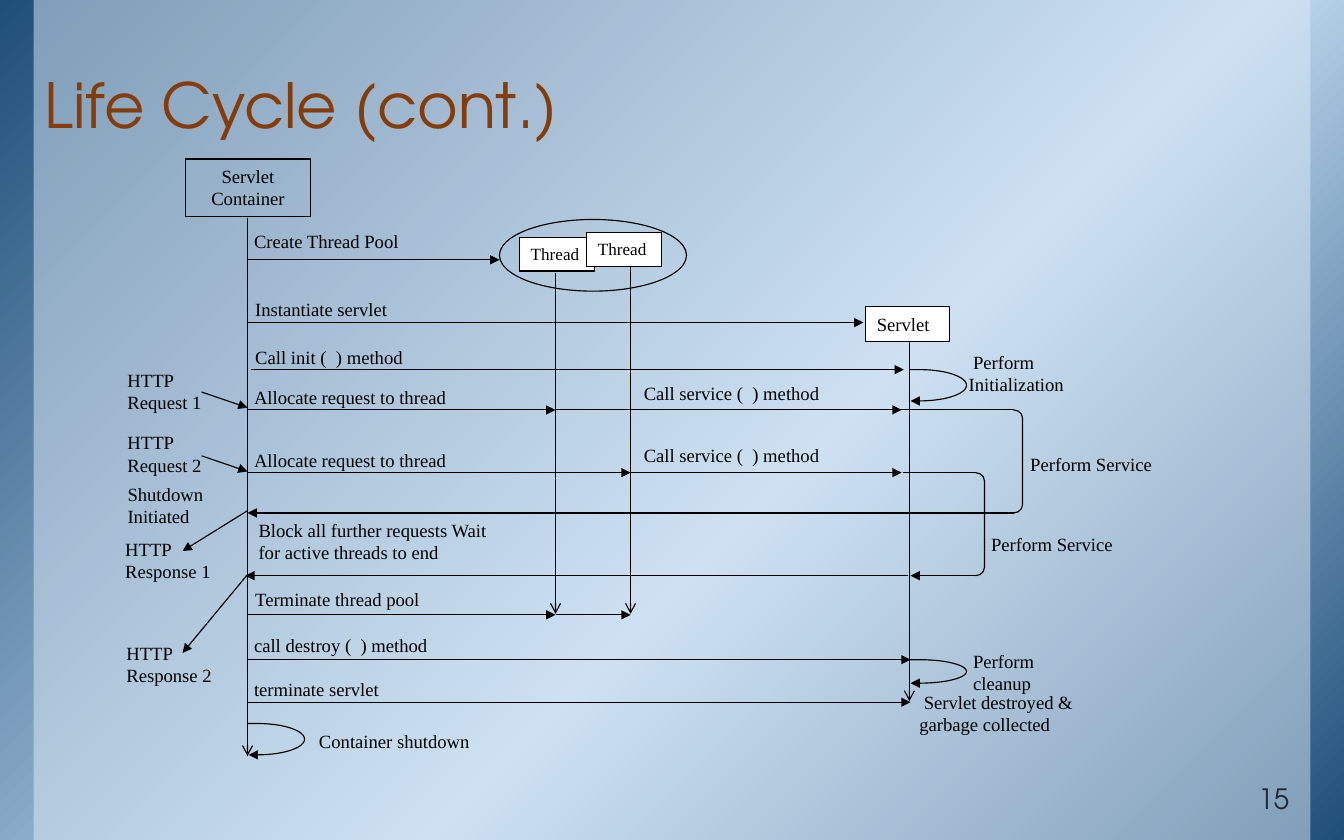
import copy
import math
import pptx
import pptx.util
import pptx.dml.color
import pptx.enum.shapes
import pptx.enum.text
import pptx.oxml
import pptx.oxml.ns

SERIF, SANS = "Times New Roman", "TeX Gyre Adventor"
BLACK, WHITE = "000000", "FFFFFF"
GRADIENT = [(0, "1F4E79"), (58, "BDD7EE"), (100, "1F4E79")]
LINE_W, SPACE = 0.75, 0.04

# Lifelines: x, top, bottom
CONTAINER, THREAD1, THREAD2, SERVLET = 2.21, 4.96, 5.63, 8.12
LIFELINES = [(CONTAINER, 1.95, 6.75), (THREAD1, 2.44, 5.48),
             (THREAD2, 2.38, 5.48), (SERVLET, 3.01, 6.26)]
SERVICE1, SERVICE2, DONE1, DONE2, POOL_END = 3.66, 4.22, 4.58, 5.14, 5.49
BRACKET1, BRACKET2, BRACKET_W = 9.05, 8.71, 0.08

# Horizontal messages: from x, to x, y
MESSAGES = [
    (CONTAINER, 4.46, 2.32), (CONTAINER, 7.71, 2.88), (2.24, 8.07, 3.3),
    (CONTAINER, THREAD1, SERVICE1), (THREAD1, 8.05, SERVICE1),
    (CONTAINER, THREAD2, SERVICE2), (THREAD2, 8.05, SERVICE2),
    (8.13, CONTAINER, DONE1), (BRACKET2, 8.13, DONE2), (8.11, 2.19, DONE2),
    (CONTAINER, THREAD1, POOL_END), (THREAD1, THREAD2, POOL_END),
    (CONTAINER, 8.13, 5.89), (CONTAINER, 8.13, 6.27),
]
PLAIN_LINES = [(7.96, BRACKET1, SERVICE1), (7.96, BRACKET1, DONE1),
               (8.06, BRACKET2, SERVICE2)]
HTTP_ARROWS = [(CONTAINER, 5.13, 1.63, 5.83), (CONTAINER, 4.56, 1.63, 4.92),
               (1.8, 3.5, CONTAINER, 3.64), (1.8, 4.07, CONTAINER, 4.21)]
BRACKETS = [(BRACKET1, SERVICE1, DONE1), (BRACKET2, SERVICE2, DONE2)]
SELF_CALLS = [(SERVLET, 3.3, 0.28), (SERVLET, 5.89, 0.21), (CONTAINER, 6.46, 0.28)]

# Boxes: text, left, top, width, height, fill, size, alignment
BOXES = [
    ("Servlet Container", 1.66, 1.42, 1.11, 0.51, None, 12, "CENTER"),
    ("Thread", 4.64, 2.12, 0.67, 0.3, WHITE, 11, "LEFT"),
    ("Thread", 5.24, 2.08, 0.67, 0.3, WHITE, 11, "LEFT"),
    ("Servlet", 7.73, 2.74, 0.75, 0.31, WHITE, 12, "LEFT"),
]
# Labels: text, left, top, width, rows, first-line indent
LABELS = [
    ("Create Thread Pool", 2.17, 2.0, 1.58, 1, 0),
    ("Instantiate servlet", 2.14, 2.61, 1.58, 1, SPACE),
    ("Call init (  ) method", 2.14, 3.04, 1.58, 1, SPACE),
    ("Allocate request to thread", 2.13, 3.4, 2.17, 1, SPACE),
    ("Allocate request to thread", 2.13, 3.96, 2.17, 1, SPACE),
    ("Block all further requests Wait for active threads to end", 2.21, 4.58, 2.25, 2, 0),
    ("Terminate thread pool", 2.18, 5.2, 1.75, 1, 0),
    ("call destroy (  ) method", 2.13, 5.61, 1.83, 1, SPACE),
    ("terminate servlet", 2.13, 6.0, 1.42, 1, SPACE),
    ("Container shutdown", 2.71, 6.47, 1.67, 1, SPACE),
    ("Call service (  ) method", 5.61, 3.36, 1.83, 1, SPACE),
    ("Call service (  ) method", 5.61, 3.91, 1.83, 1, SPACE),
    ("Perform Initialization", 8.55, 3.08, 1.08, 2, SPACE),
    ("Perform Service", 9.06, 3.99, 1.42, 1, SPACE),
    ("Perform cleanup", 8.59, 5.75, 0.75, 2, 0),
    ("Servlet destroyed & garbage collected", 8.11, 6.12, 1.57, 2, SPACE),
    ("Perform Service", 8.71, 4.71, 1.42, 1, SPACE),
    ("Shutdown Initiated", 1.04, 4.26, 0.92, 2, 0),
    ("HTTP Request 1", 1.04, 3.24, 1.04, 2, 0),
    ("HTTP Request 2", 1.04, 3.8, 1.04, 2, 0),
    ("HTTP Response 1", 1.02, 4.75, 1.04, 2, 0),
    ("HTTP Response 2", 1.03, 5.68, 1.04, 2, 0),
]

inch = pptx.util.Inches
Shape = pptx.enum.shapes.MSO_SHAPE
Align = pptx.enum.text.PP_ALIGN
Anchor = pptx.enum.text.MSO_ANCHOR


def rgb(value):
    return pptx.dml.color.RGBColor.from_string(value)


def element(tag, **attrs):
    el = pptx.oxml.parse_xml(f"<{tag} {pptx.oxml.ns.nsdecls('a')}/>")
    for name, value in attrs.items():
        el.set(name, str(value))
    return el


def style_line(line, head=None):
    line.color.rgb = rgb(BLACK)
    line.width = pptx.util.Pt(LINE_W)
    if head:
        line._get_or_add_ln().append(element("a:tailEnd", type=head))


def add_line(shapes, x1, y1, x2, y2, head="triangle"):
    c = shapes.add_connector(pptx.enum.shapes.MSO_CONNECTOR.STRAIGHT,
                             inch(x1), inch(y1), inch(x2), inch(y2))
    style_line(c.line, head)
    c._element.spPr.append(element("a:effectLst"))


def add_shape(shapes, kind, x, y, w, h, fill=None, outlined=True):
    sp = shapes.add_shape(kind, inch(x), inch(y), inch(w), inch(h))
    sp.shadow.inherit = False
    if fill:
        sp.fill.solid()
        sp.fill.fore_color.rgb = rgb(fill)
    else:
        sp.fill.background()
    if outlined:
        style_line(sp.line)
    else:
        sp.line.fill.background()
    return sp


def set_text(sp, text, size=12, font=SERIF, color=BLACK, align="LEFT",
             anchor="TOP", margins=(0.1, 0.05), indent=0):
    tf = sp.text_frame
    tf.text = text
    tf.word_wrap = True
    tf.vertical_anchor = Anchor[anchor]
    tf.margin_left = tf.margin_right = inch(margins[0])
    tf.margin_top = tf.margin_bottom = inch(margins[1])
    p = tf.paragraphs[0]
    p.alignment = Align[align]
    if indent:
        p._p.get_or_add_pPr().set("indent", str(inch(indent)))
    f = p.runs[0].font
    f.size, f.name, f.color.rgb = pptx.util.Pt(size), font, rgb(color)
    return p


def add_textbox(shapes, x, y, w, h):
    return shapes.add_textbox(inch(x), inch(y), inch(w), inch(h))


def add_self_call(shapes, x, y, h, width=0.51, stem=0.09, steps=24):
    """Draw a half-ellipse that leaves a lifeline and returns to it."""
    angles = [math.pi * (i / steps - 0.5) for i in range(steps + 1)]
    points = [(x + stem + (width - stem) * math.cos(a), y + h / 2 * (1 + math.sin(a)))
              for a in angles] + [(x + 0.01, y + h)]
    fb = shapes.build_freeform(inch(x), inch(y))
    fb.add_line_segments([(inch(px), inch(py)) for px, py in points], close=False)
    sp = fb.convert_to_shape()
    sp.shadow.inherit = False
    sp.fill.background()
    style_line(sp.line, "triangle")


def add_background(shapes, w, h):
    back = add_shape(shapes, Shape.RECTANGLE, 0, 0, w, h, outlined=False)
    back.fill.gradient()
    back.fill.gradient_angle = 315
    stops = back._element.spPr.find(".//" + pptx.oxml.ns.qn("a:gsLst"))
    stops.append(copy.deepcopy(stops[-1]))
    for stop, (position, color) in zip(back.fill.gradient_stops, GRADIENT):
        stop.position = position / 100
        stop.color.rgb = rgb(color)
    margin = w * 0.025
    panel = add_shape(shapes, Shape.RECTANGLE, margin, 0, w - 2 * margin, h, "DEEBF7", False)
    color = panel._element.spPr.find(".//" + pptx.oxml.ns.qn("a:srgbClr"))
    color.append(element("a:alpha", val=50000))


def main():
    prs = pptx.Presentation()
    prs.slide_width, prs.slide_height = inch(12), inch(7.5)
    s = prs.slides.add_slide(prs.slide_layouts[5])
    shapes = s.shapes
    add_background(shapes, 12, 7.5)

    title = shapes.title
    shapes._spTree.append(title._element)  # bring in front of the background
    title.left, title.top, title.width, title.height = map(inch, (0.27, 0.08, 11.36, 1.25))
    p = set_text(title, "Life Cycle (cont.)", 40, SANS, "843C0B",
                 anchor="BOTTOM", margins=(0.13, 0.07))
    p.line_spacing = 0.85
    set_text(add_textbox(shapes, 10.55, 7, 1.09, 0.35), "15", 18, SANS, "222A35",
             "RIGHT", "BOTTOM", (0.13, 0.07))

    for x, top, bottom in LIFELINES:
        add_line(shapes, x, top, x, bottom, "arrow")
    add_shape(shapes, Shape.OVAL, 4.46, 1.96, 1.67, 0.64)
    for text, x, y, w, h, fill, size, align in BOXES:
        set_text(add_shape(shapes, Shape.RECTANGLE, x, y, w, h, fill), text, size, align=align)
    # The servlet lifeline starts inside its box
    for x1, x2, y in MESSAGES:
        add_line(shapes, x1, y, x2, y)
    for x1, x2, y in PLAIN_LINES:
        add_line(shapes, x1, y, x2, y, None)
    for x, top, bottom in BRACKETS:
        sp = add_shape(shapes, Shape.RIGHT_BRACKET, x, top, BRACKET_W, bottom - top)
        sp.adjustments[0] = 0.92
    for text, x, y, w, rows, indent in LABELS:
        set_text(add_textbox(shapes, x, y, w, 0.1 + 0.2 * rows), text, indent=indent)
    for arrow in HTTP_ARROWS:
        add_line(shapes, *arrow)
    for call in SELF_CALLS:
        add_self_call(shapes, *call)
    prs.save("out.pptx")


if __name__ == "__main__":
    main()
